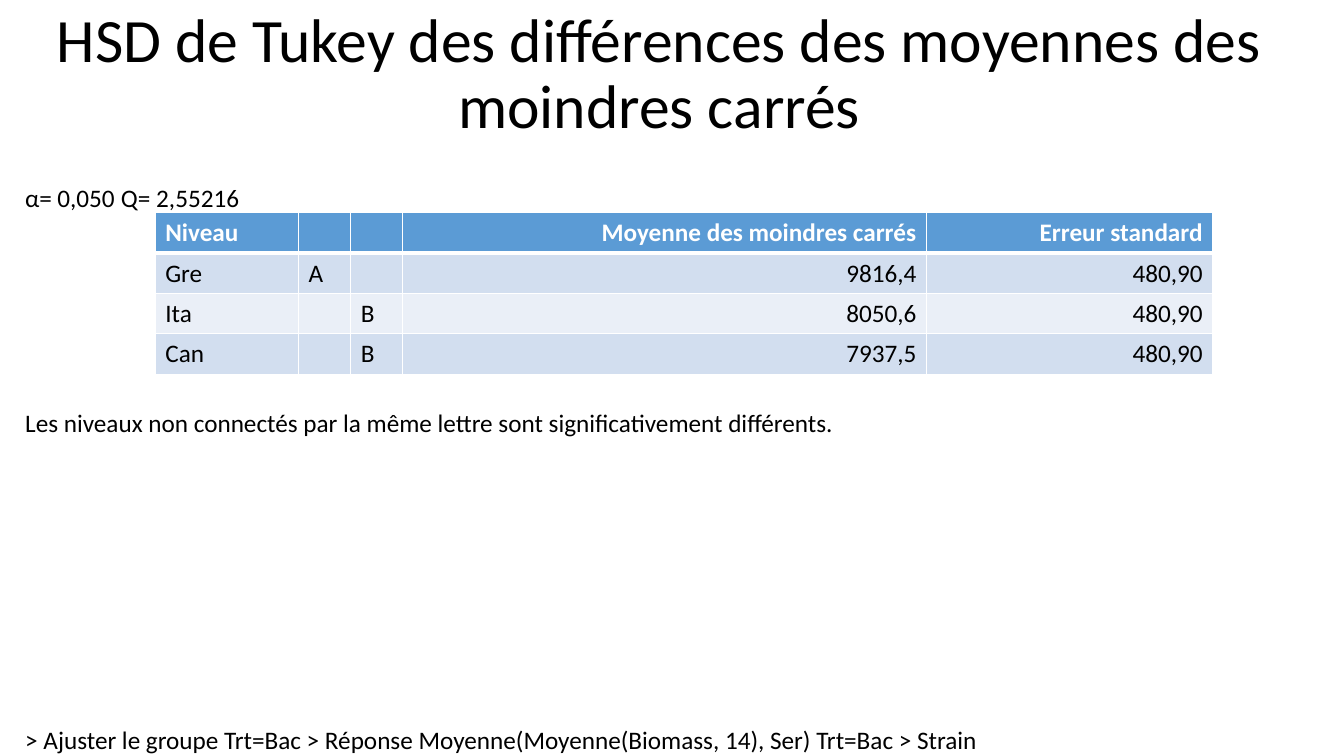
from dataclasses import dataclass

from lxml import etree
from pptx import Presentation
from pptx.dml.color import RGBColor
from pptx.enum.text import MSO_ANCHOR, MSO_AUTO_SIZE, PP_ALIGN
from pptx.oxml.ns import qn
from pptx.slide import Slide
from pptx.table import _Cell
from pptx.text.text import TextFrame
from pptx.util import Inches, Pt

LEFT, CENTER, RIGHT = PP_ALIGN.LEFT, PP_ALIGN.CENTER, PP_ALIGN.RIGHT
MIDDLE, TOP = MSO_ANCHOR.MIDDLE, MSO_ANCHOR.TOP
FIT_SHAPE, NO_FIT = MSO_AUTO_SIZE.SHAPE_TO_FIT_TEXT, MSO_AUTO_SIZE.NONE

BLACK = RGBColor(0x00, 0x00, 0x00)
WHITE = RGBColor(0xFF, 0xFF, 0xFF)
HEADER_BLUE = RGBColor(0x5B, 0x9B, 0xD5)
BAND_DARK = RGBColor(0xD2, 0xDE, 0xEF)
BAND_LIGHT = RGBColor(0xEA, 0xEF, 0xF7)
FONT = "Calibri"
LABEL_HEIGHT = 0.31
ROW_HEIGHT = 0.4
THIN_BORDER, THICK_BORDER = 1, 3


@dataclass(frozen=True)
class Label:
    text: str
    left: float
    top: float
    width: float


@dataclass(frozen=True)
class Column:
    heading: str
    width: float
    alignment: PP_ALIGN = LEFT


TITLE = "HSD de Tukey des différences des moyennes des moindres carrés"
LABELS = [
    Label("> Ajuster le groupe Trt=Bac > Réponse Moyenne(Moyenne(Biomass, 14), Ser) "
          "Trt=Bac > Strain", 0.25, 7.19, 9.55),
    Label("α=", 0.25, 1.81, 0.3),
    Label("0,050", 0.57, 1.81, 0.6),
    Label("Q=", 1.2, 1.81, 0.33),
    Label("2,55216", 1.55, 1.81, 0.87),
    Label("Les niveaux non connectés par la même lettre sont significativement différents.",
          0.25, 4.04, 8.12),
]
COLUMNS = [
    Column("Niveau", 1.42),
    Column("", 0.52),
    Column("", 0.51),
    Column("Moyenne des moindres carrés", 5.2, RIGHT),
    Column("Erreur standard", 2.84, RIGHT),
]
LEVELS = [
    ["Gre", "A", "", "9816,4", "480,90"],
    ["Ita", "", "B", "8050,6", "480,90"],
    ["Can", "", "B", "7937,5", "480,90"],
]


def write_text(frame: TextFrame, text: str, *, size: float = 18, color: RGBColor = BLACK,
               bold: bool = False, alignment: PP_ALIGN = LEFT,
               line_spacing: float = 1.0) -> None:
    paragraph = frame.paragraphs[0]
    paragraph.alignment = alignment
    paragraph.line_spacing = line_spacing
    paragraph.font.size = Pt(size)
    if text:
        run = paragraph.add_run()
        run.text = text
        run.font.name = FONT
        run.font.size = Pt(size)
        run.font.bold = bold
        run.font.color.rgb = color


def add_title(slide: Slide) -> None:
    title = slide.shapes.title
    title.left, title.top = Inches(0), Inches(0)
    title.width, title.height = Inches(13.08), Inches(1.5)
    frame = title.text_frame
    frame.word_wrap = True
    frame.auto_size = NO_FIT
    frame.vertical_anchor = MIDDLE
    write_text(frame, TITLE, size=44, alignment=CENTER, line_spacing=0.9)


def add_label(slide: Slide, label: Label) -> None:
    box = slide.shapes.add_textbox(Inches(label.left), Inches(label.top),
                                   Inches(label.width), Inches(LABEL_HEIGHT))
    frame = box.text_frame
    frame.margin_left = frame.margin_top = frame.margin_right = frame.margin_bottom = 0
    frame.word_wrap = False
    frame.auto_size = FIT_SHAPE
    frame.vertical_anchor = TOP
    write_text(frame, label.text)


def set_borders(cell: _Cell, *, top: float, bottom: float) -> None:
    properties = cell._tc.get_or_add_tcPr()
    widths = {"a:lnL": THIN_BORDER, "a:lnR": THIN_BORDER, "a:lnT": top, "a:lnB": bottom}
    for position, (tag, width) in enumerate(widths.items()):
        line = etree.Element(qn(tag), w=str(Pt(width)))
        fill = etree.SubElement(line, qn("a:solidFill"))
        etree.SubElement(fill, qn("a:srgbClr"), val=str(WHITE))
        properties.insert(position, line)


def add_level_table(slide: Slide) -> None:
    rows = [[column.heading for column in COLUMNS], *LEVELS]
    width = sum(column.width for column in COLUMNS)
    table = slide.shapes.add_table(len(rows), len(COLUMNS), Inches(1.54), Inches(2.11),
                                   Inches(width), Inches(ROW_HEIGHT * len(rows))).table
    for table_column, column in zip(table.columns, COLUMNS):
        table_column.width = Inches(column.width)
    for row_index, values in enumerate(rows):
        is_header = row_index == 0
        band = BAND_DARK if row_index % 2 else BAND_LIGHT
        for column_index, value in enumerate(values):
            cell = table.cell(row_index, column_index)
            cell.fill.solid()
            cell.fill.fore_color.rgb = HEADER_BLUE if is_header else band
            set_borders(cell, top=THICK_BORDER if row_index == 1 else THIN_BORDER,
                        bottom=THICK_BORDER if is_header else THIN_BORDER)
            write_text(cell.text_frame, value, color=WHITE if is_header else BLACK,
                       bold=is_header, alignment=COLUMNS[column_index].alignment)


def main() -> None:
    presentation = Presentation()
    presentation.slide_width, presentation.slide_height = Inches(13.33), Inches(7.5)
    # Title-only layout
    slide = presentation.slides.add_slide(presentation.slide_layouts[5])
    add_title(slide)
    # Test parameters, source path and reading note
    for label in LABELS:
        add_label(slide, label)
    # Least-squares means by level
    add_level_table(slide)
    presentation.save("out.pptx")


if __name__ == "__main__":
    main()
